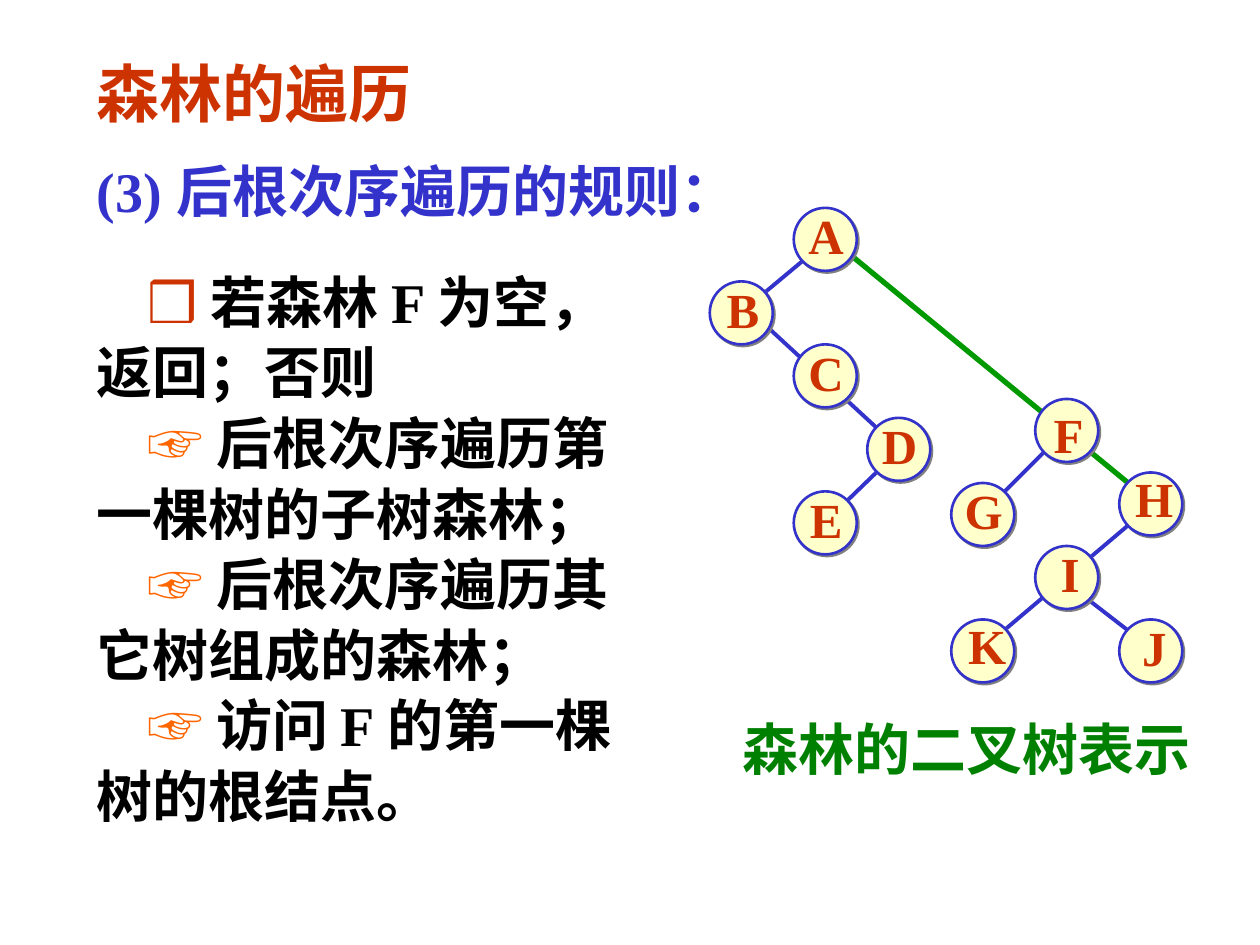
"""Build a slide on post-root traversal of a forest, with its binary tree."""
import pptx
import pptx.dml.color
import pptx.enum.shapes
import pptx.enum.text
import pptx.oxml
import pptx.util
from lxml import etree

Pt = pptx.util.Pt
ALIGN = pptx.enum.text.PP_ALIGN
ANCHOR = pptx.enum.text.MSO_ANCHOR
NS = "http://schemas.openxmlformats.org/drawingml/2006/main"
SERIF = "Times New Roman"
RED, BLUE, GREEN = "CC3300", "3333CC", "009900"
SIZE = 36

TITLE = "森林的遍历"
CAPTION = "森林的二叉树表示"
BOX, HAND = ("❒", RED), ("☞", "FF6600")
RULES = [
    ("(3) 后根次序遍历的规则：", BLUE, None, 0),
    ("若森林 F 为空，", "000000", BOX, 23),
    ("返回；否则", "000000", None, 0),
    ("后根次序遍历第", "000000", HAND, 0),
    ("一棵树的子树森林；", "000000", None, 0),
    ("后根次序遍历其", "000000", HAND, 0),
    ("它树组成的森林；", "000000", None, 0),
    ("访问 F 的第一棵", "000000", HAND, 0),
    ("树的根结点。", "000000", None, 0),
]
NODES = {
    "A": (453.6, 118.8), "B": (405.6, 160.8), "C": (453.6, 196.8),
    "D": (495.6, 238.8), "E": (453.6, 280.8), "F": (591.6, 228),
    "G": (543.6, 276), "H": (639.6, 270), "I": (591.6, 312),
    "J": (639.6, 354), "K": (543.6, 354),
}
INSET = (1, 0, 5)
INSETS = {"B": (2, 0, 5), "F": (2, 4, 0), "H": (4, 0, 7),
          "I": (4, 0, 5), "J": (4, 0, 5), "K": (5, 0, 7)}
EDGES = [
    (484, 144, 652, 282, GREEN, 3),
    (508, 263, 477, 293, BLUE, 2.25),
    (430, 179, 508, 251, BLUE, 2.25),
    (466, 143, 430, 173, BLUE, 2.25),
    (621, 342, 652, 366, BLUE, 2.25),
    (652, 294, 574, 360, BLUE, 2.25),
    (603, 252, 567, 288, BLUE, 2.25),
]


def tint(code):
    return pptx.dml.color.RGBColor.from_string(code)


def style(para, size, code, name=SERIF):
    font = para.font
    font.name, font.size, font.bold = name, Pt(size), True
    font.color.rgb = tint(code)


def place(shape, left, top, width, height):
    shape.left, shape.top = Pt(left), Pt(top)
    shape.width, shape.height = Pt(width), Pt(height)
    frame = shape.text_frame
    frame.word_wrap = True
    frame.auto_size = pptx.enum.text.MSO_AUTO_SIZE.NONE
    frame.vertical_anchor = ANCHOR.TOP
    return frame


def fill(para, text, sign):
    props = para._p.get_or_add_pPr()
    props.set("marL", "0")
    props.set("indent", str(Pt(29) if sign else 0))
    etree.SubElement(props, f"{{{NS}}}buNone")
    if sign:
        run = para.add_run()
        run.text = sign[0]
        run.font.name, run.font.color.rgb = "Arial", tint(sign[1])
        text = " " + text
    para.add_run().text = text


def add_rules(body):
    frame = place(body, 48, 84, 366, 393)
    frame.margin_right = Pt(24)
    for i, (text, code, sign, gap) in enumerate(RULES):
        para = frame.add_paragraph() if i else frame.paragraphs[0]
        fill(para, text, sign)
        para.line_spacing, para.space_before = 1.05, Pt(gap)
        style(para, 32, code)


def add_edge(shapes, *ends, code, width):
    line = shapes.add_connector(pptx.enum.shapes.MSO_CONNECTOR.STRAIGHT,
                                *map(Pt, ends))
    line.line.color.rgb, line.line.width = tint(code), Pt(width)
    etree.SubElement(line._element.spPr, f"{{{NS}}}effectLst")


def add_node(shapes, key, left, top):
    node = shapes.add_shape(pptx.enum.shapes.MSO_SHAPE.OVAL,
                            Pt(left), Pt(top), Pt(SIZE), Pt(SIZE))
    node.fill.solid()
    node.fill.fore_color.rgb = tint("FFFFCC")
    node.line.color.rgb, node.line.width = tint(BLUE), Pt(1.5)
    node.shadow.inherit = False
    glow = node._element.spPr.find(f"{{{NS}}}effectLst")
    glow.append(pptx.oxml.parse_xml(
        f'<a:outerShdw xmlns:a="{NS}" dist="{Pt(1.4)}" dir="2700000">'
        '<a:srgbClr val="808080"/></a:outerShdw>'))
    frame = node.text_frame
    frame.word_wrap = False
    frame.vertical_anchor = ANCHOR.MIDDLE
    frame.margin_right = 0
    frame.margin_left, frame.margin_top, frame.margin_bottom = map(
        Pt, INSETS.get(key, INSET))
    para = frame.paragraphs[0]
    para.text, para.alignment = key, ALIGN.CENTER
    style(para, 28, RED)


def main():
    deck = pptx.Presentation()
    deck.slide_width, deck.slide_height = Pt(720), Pt(540)
    slide = deck.slides.add_slide(deck.slide_layouts[1])
    shapes = slide.shapes
    caption = shapes.add_textbox(0, 0, 0, 0)
    for shape, text, area, look in [
        (shapes.title, TITLE, (48, 27.5, 198, 50.5), (36, RED, "Arial")),
        (caption, CAPTION, (417, 405, 273, 46), (32, "008000")),
    ]:
        para = place(shape, *area).paragraphs[0]
        para.text, para.alignment = text, ALIGN.LEFT
        style(para, *look)
    add_rules(slide.placeholders[1])
    for *ends, code, width in EDGES:
        add_edge(shapes, *ends, code=code, width=width)
    for key, spot in NODES.items():
        add_node(shapes, key, *spot)
    deck.save("out.pptx")


if __name__ == "__main__":
    main()
